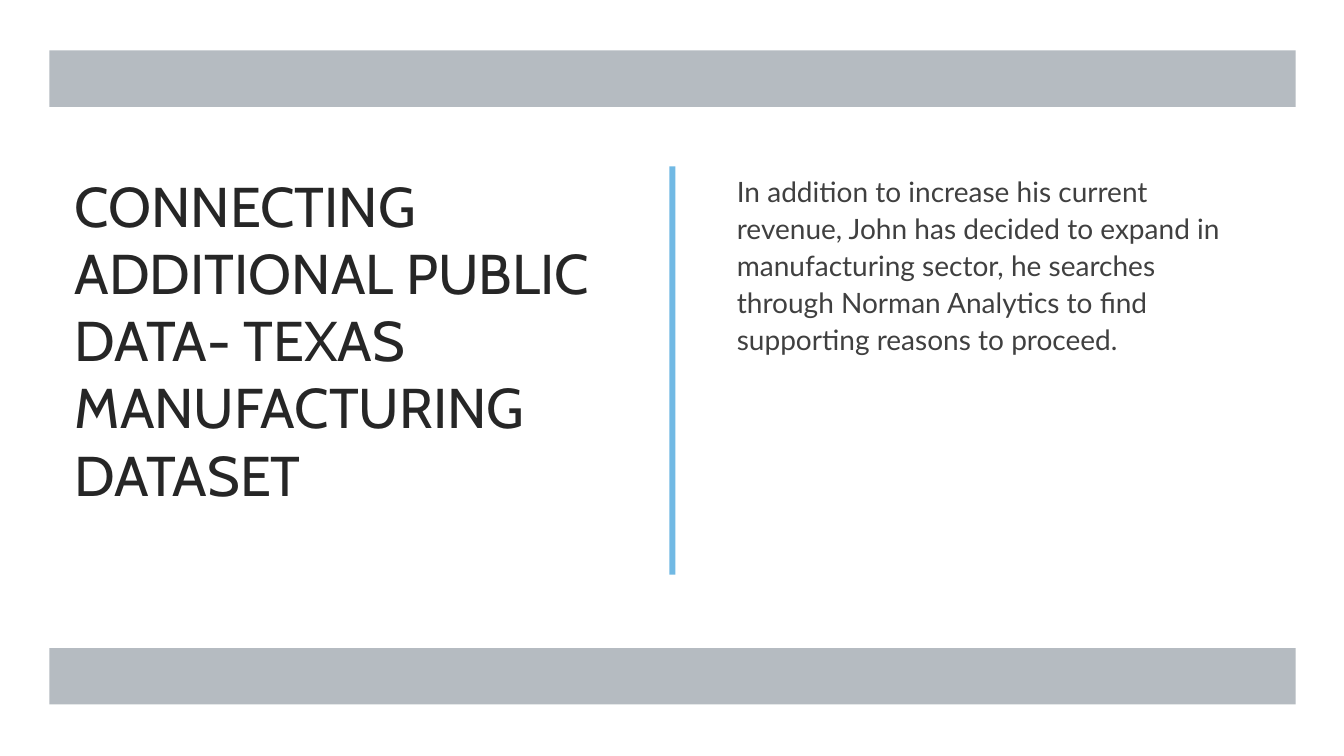
from dataclasses import dataclass

from lxml import etree
from pptx import Presentation
from pptx.dml.color import RGBColor
from pptx.enum import shapes, text
from pptx.oxml import ns
from pptx.util import Inches, Pt


@dataclass
class Theme:
    paper: RGBColor = RGBColor.from_string("FFFFFF")
    band: RGBColor = RGBColor.from_string("969FA7")
    rule: RGBColor = RGBColor.from_string("71B9E4")
    head: RGBColor = RGBColor.from_string("262626")
    body: RGBColor = RGBColor.from_string("404040")
    head_font: str = "Cabin"
    body_font: str = "Lato"
    head_size: int = 40
    body_size: int = 20


theme = Theme()


def add_bar(left, top, width, height, color):
    bar = slide.shapes.add_shape(
        shapes.MSO_SHAPE.RECTANGLE,
        Inches(left), Inches(top), Inches(width), Inches(height))
    bar.shadow.inherit = False
    bar.fill.solid()
    bar.fill.fore_color.rgb = color
    bar.line.fill.background()
    return bar


def set_text(frame, words, font, size, color):
    frame.word_wrap = True
    frame.auto_size = text.MSO_AUTO_SIZE.NONE
    frame.vertical_anchor = text.MSO_ANCHOR.TOP
    frame.text = words
    para = frame.paragraphs[0]
    para.alignment = text.PP_ALIGN.LEFT
    para.font.name = font
    para.font.size = Pt(size)
    para.font.color.rgb = color
    return para


# Slide
deck = Presentation()
deck.slide_width, deck.slide_height = Inches(13.33), Inches(7.5)
slide = deck.slides.add_slide(deck.slide_layouts[5])
slide.background.fill.solid()
slide.background.fill.fore_color.rgb = theme.paper

# Title
title = slide.shapes.title
title.left, title.top = Inches(0.64), Inches(1.65)
title.width, title.height = Inches(5.6), Inches(4.27)
set_text(title.text_frame,
         "CONNECTING ADDITIONAL PUBLIC DATA- TEXAS MANUFACTURING DATASET",
         theme.head_font, theme.head_size, theme.head)

# Translucent bands at top and bottom
for top in (0.5, 6.43):
    band = add_bar(0.49, top, 12.36, 0.56, theme.band)
    tint = band.fill._xPr.find(ns.qn("a:solidFill"))[0]
    etree.SubElement(tint, ns.qn("a:alpha"), val="70000")

# Rule between the columns
add_bar(6.64, 1.65, 0.06, 4.05, theme.rule)

# Body
body = slide.shapes.add_textbox(
    Inches(7.04), Inches(1.65), Inches(5.27), Inches(4.27))
para = set_text(
    body.text_frame,
    "In addition to increase his current revenue, John has decided to expand "
    "in manufacturing sector, he searches through Norman Analytics to find "
    "supporting reasons to proceed.",
    theme.body_font, theme.body_size, theme.body)
para.line_spacing = 1.1
para.space_after = Pt(6)
props = para._p.get_or_add_pPr()
props.set("marL", str(Inches(0.17)))
props.set("indent", "0")

deck.save("out.pptx")
